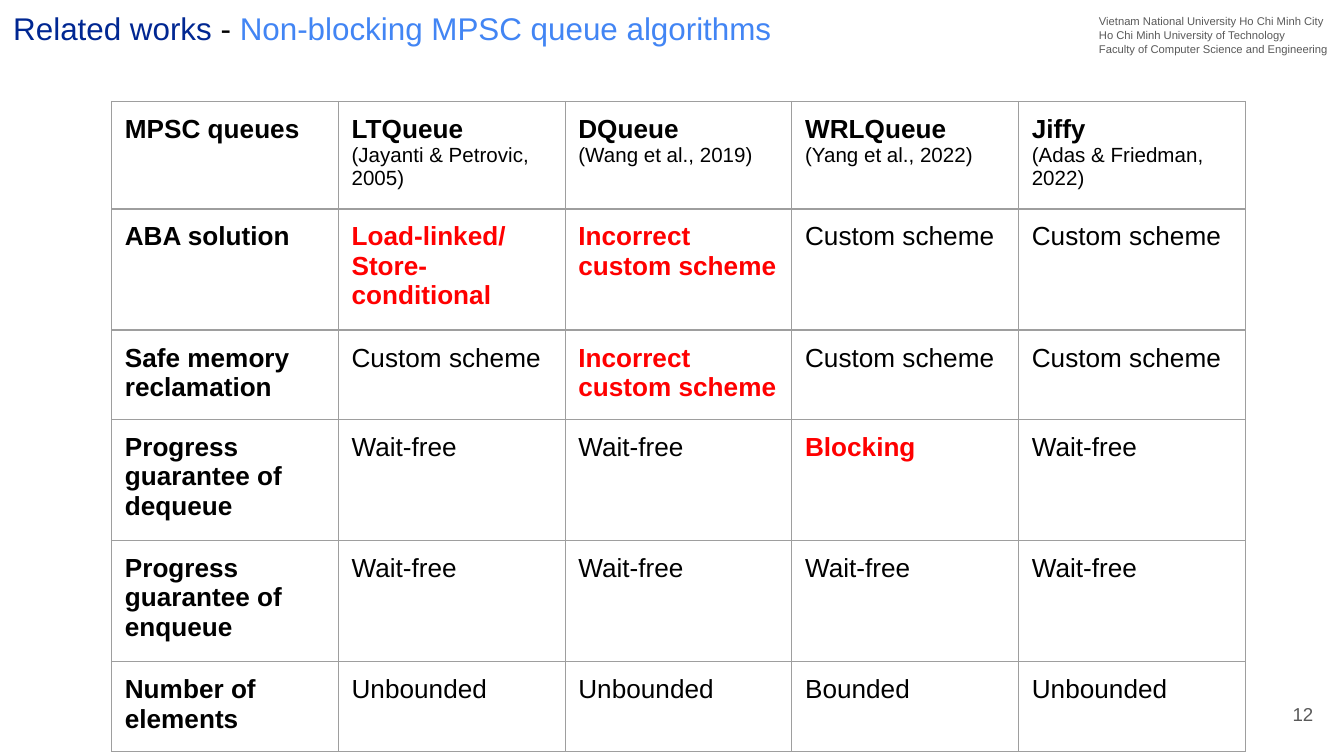
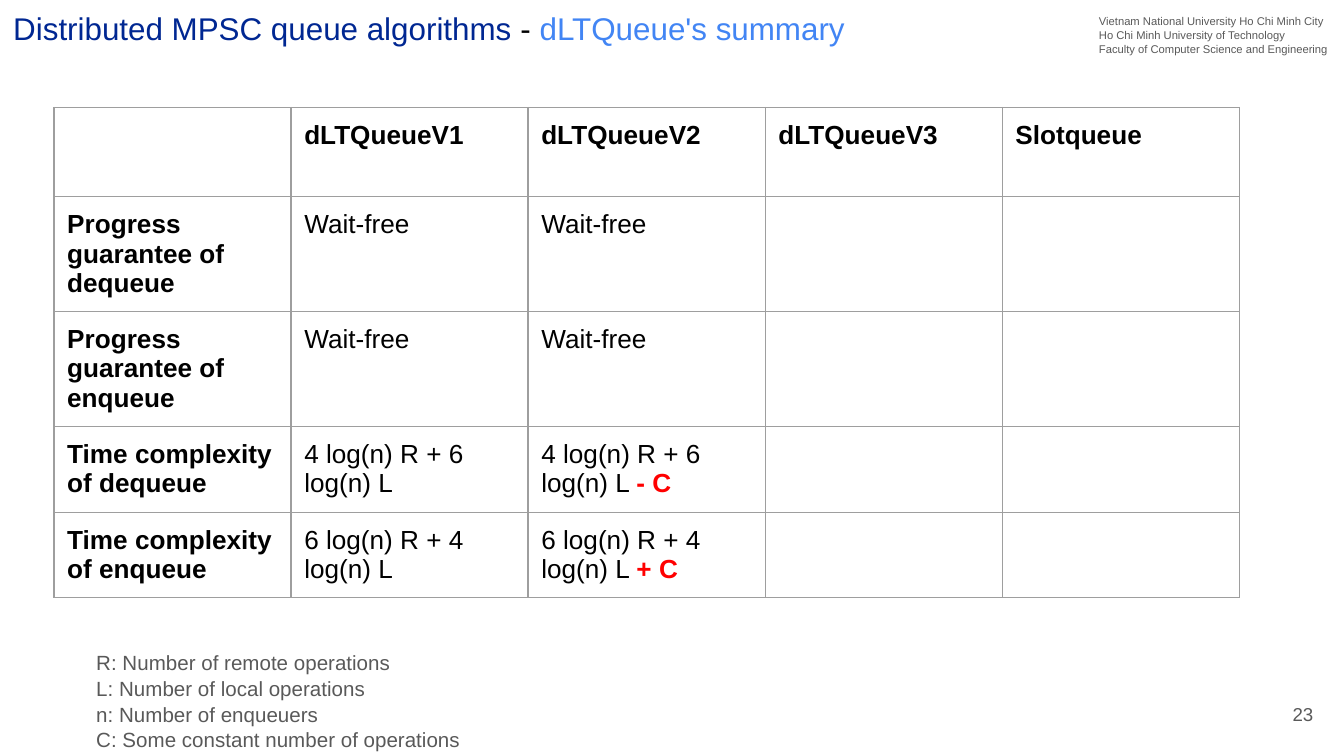
from dataclasses import dataclass

from lxml import etree
from pptx import Presentation
from pptx.dml.color import RGBColor
from pptx.enum.text import MSO_ANCHOR, MSO_AUTO_SIZE, PP_ALIGN
from pptx.oxml.ns import qn
from pptx.util import Cm, Pt

LEFT, RIGHT = PP_ALIGN.LEFT, PP_ALIGN.RIGHT
TOP, MIDDLE, BOTTOM = MSO_ANCHOR.TOP, MSO_ANCHOR.MIDDLE, MSO_ANCHOR.BOTTOM
NO_AUTOFIT = MSO_AUTO_SIZE.NONE

FONT = "Arial"
NAVY, BLUE, BLACK = "002792", "4285F4", "000000"
RED, GRAY, BORDER = "FF0000", "595959", "9E9E9E"
INSET = Cm(0.25)
TITLE_ONLY = 5

AFFILIATION = (
    "Vietnam National University Ho Chi Minh City",
    "Ho Chi Minh University of Technology",
    "Faculty of Computer Science and Engineering",
)


@dataclass(frozen=True)
class Span:
    text: str
    size: float = 14
    color: str = BLACK
    bold: bool = False


@dataclass(frozen=True)
class Area:
    left: float
    top: float
    width: float
    height: float


@dataclass(frozen=True)
class Grid:
    left: float
    top: float
    column_width: float
    row_heights: tuple
    rows: tuple


Paragraphs = list[list[Span]]

TITLE_AREA = Area(0, 0, 18.19, 1.14)
AFFILIATION_AREA = Area(20.52, 0, 4.88, 1.27)
NUMBER_AREA = Area(23.55, 12.95, 1.52, 1.09)
LEGEND_AREA = Area(1.57, 12.01, 20.45, 2.39)


def rgb(color: str) -> RGBColor:
    return RGBColor.from_string(color)


def apply(target, values: dict) -> None:
    for name, value in values.items():
        setattr(target, name, value)


# Text
def write(frame, paragraphs: Paragraphs, align=LEFT, spacing: float = 1.0) -> None:
    for index, spans in enumerate(paragraphs):
        para = frame.add_paragraph() if index else frame.paragraphs[0]
        apply(para, {"alignment": align, "line_spacing": spacing})
        for span in spans:
            run = para.add_run()
            run.text = span.text
            apply(run.font, {"name": FONT, "size": Pt(span.size), "bold": span.bold})
            run.font.color.rgb = rgb(span.color)


def format_frame(frame, anchor) -> None:
    apply(frame, {
        "word_wrap": True, "auto_size": NO_AUTOFIT, "vertical_anchor": anchor,
        "margin_left": INSET, "margin_right": INSET,
        "margin_top": INSET, "margin_bottom": INSET,
    })


def add_text(page, area: Area, paragraphs: Paragraphs, anchor=TOP, align=LEFT,
             spacing: float = 1.0) -> None:
    box = page.shapes.add_textbox(
        Cm(area.left), Cm(area.top), Cm(area.width), Cm(area.height))
    format_frame(box.text_frame, anchor)
    write(box.text_frame, paragraphs, align, spacing)


def gray_lines(lines: tuple, size: float) -> Paragraphs:
    return [[Span(line, size, GRAY)] for line in lines]


# Parts shared by the slides
def add_page(deck, topic: str, subtopic: str, number: int):
    page = deck.slides.add_slide(deck.slide_layouts[TITLE_ONLY])
    title = page.shapes.title
    apply(title, {name: Cm(getattr(TITLE_AREA, name))
                  for name in ("left", "top", "width", "height")})
    format_frame(title.text_frame, BOTTOM)
    write(title.text_frame, [[Span(topic, 16.8, NAVY), Span(" - ", 16.8),
                              Span(subtopic, 16.8, BLUE)]])
    add_text(page, AFFILIATION_AREA, gray_lines(AFFILIATION, 6), spacing=1.05)
    add_text(page, NUMBER_AREA, gray_lines((str(number),), 10), MIDDLE, RIGHT)
    return page


# Tables
def add_borders(cell) -> None:
    properties = cell._tc.get_or_add_tcPr()
    for side in ("lnL", "lnR", "lnT", "lnB"):
        line = etree.SubElement(properties, qn(f"a:{side}"), w=str(Pt(0.75)))
        fill = etree.SubElement(line, qn("a:solidFill"))
        etree.SubElement(fill, qn("a:srgbClr"), val=BORDER)


def add_grid(page, grid: Grid) -> None:
    columns = len(grid.rows[0])
    table = page.shapes.add_table(
        len(grid.rows), columns, Cm(grid.left), Cm(grid.top),
        Cm(grid.column_width * columns), Cm(sum(grid.row_heights))).table
    apply(table, {"first_row": False, "horz_banding": False})
    for column in table.columns:
        column.width = Cm(grid.column_width)
    for row, height, contents in zip(table.rows, grid.row_heights, grid.rows):
        row.height = Cm(height)
        for cell, paragraphs in zip(row.cells, contents):
            add_borders(cell)
            cell.fill.background()
            apply(cell, {"margin_left": INSET, "margin_right": INSET,
                         "margin_top": INSET, "margin_bottom": INSET})
            write(cell.text_frame, paragraphs)


def plain(text: str) -> Paragraphs:
    return [[Span(text)]] if text else []


def strong(text: str) -> Paragraphs:
    return [[Span(text, bold=True)]]


def flaw(text: str) -> Paragraphs:
    return [[Span(text, color=RED, bold=True)]]


def cited(queue: str, citation: str) -> Paragraphs:
    return [*strong(queue), [Span(citation, 11)]]


def adjusted(cost: str, change: str) -> Paragraphs:
    return [[Span(cost + " "), Span(change, color=RED, bold=True)]]


def labelled(label: str, *cells) -> list[Paragraphs]:
    return [strong(label),
            *(plain(cell) if isinstance(cell, str) else cell for cell in cells)]


DEQUEUE_PROGRESS = "Progress guarantee of dequeue"
ENQUEUE_PROGRESS = "Progress guarantee of enqueue"
CUSTOM, WAIT_FREE, UNBOUNDED = "Custom scheme", "Wait-free", "Unbounded"
INCORRECT = flaw("Incorrect custom scheme")
DEQUEUE_COST = "4 log(n) R + 6 log(n) L"
ENQUEUE_COST = "6 log(n) R + 4 log(n) L"

RELATED_WORKS = Grid(2.11, 1.92, 4.285, (2.03, 2.29, 1.69, 2.29, 2.29, 1.69), (
    labelled("MPSC queues",
             cited("LTQueue", "(Jayanti & Petrovic, 2005)"),
             cited("DQueue", "(Wang et al., 2019)"),
             cited("WRLQueue", "(Yang et al., 2022)"),
             cited("Jiffy", "(Adas & Friedman, 2022)")),
    labelled("ABA solution", flaw("Load-linked/Store-conditional"), INCORRECT,
             CUSTOM, CUSTOM),
    labelled("Safe memory reclamation", CUSTOM, INCORRECT, CUSTOM, CUSTOM),
    labelled(DEQUEUE_PROGRESS, WAIT_FREE, WAIT_FREE, flaw("Blocking"), WAIT_FREE),
    labelled(ENQUEUE_PROGRESS, *[WAIT_FREE] * 4),
    labelled("Number of elements", UNBOUNDED, UNBOUNDED, "Bounded", UNBOUNDED),
))

SUMMARY = Grid(1.02, 2.03, 4.48, (1.69, 2.17, 2.17, 1.62, 1.62), (
    [[], *map(strong, ("dLTQueueV1", "dLTQueueV2", "dLTQueueV3", "Slotqueue"))],
    labelled(DEQUEUE_PROGRESS, WAIT_FREE, WAIT_FREE, "", ""),
    labelled(ENQUEUE_PROGRESS, WAIT_FREE, WAIT_FREE, "", ""),
    labelled("Time complexity of dequeue", DEQUEUE_COST,
             adjusted(DEQUEUE_COST, "- C"), "", ""),
    labelled("Time complexity of enqueue", ENQUEUE_COST,
             adjusted(ENQUEUE_COST, "+ C"), "", ""),
))

LEGEND = (
    "R: Number of remote operations",
    "L: Number of local operations",
    "n: Number of enqueuers",
    "C: Some constant number of operations",
)


def main() -> None:
    deck = Presentation()
    apply(deck, {"slide_width": Cm(25.4), "slide_height": Cm(14.29)})

    # Comparison of existing queues
    page = add_page(deck, "Related works", "Non-blocking MPSC queue algorithms", 12)
    add_grid(page, RELATED_WORKS)

    # Summary of the distributed queues
    page = add_page(deck, "Distributed MPSC queue algorithms",
                    "dLTQueue's summary", 23)
    add_grid(page, SUMMARY)
    add_text(page, LEGEND_AREA, gray_lines(LEGEND, 11), spacing=1.05)

    deck.save("out.pptx")


if __name__ == "__main__":
    main()
